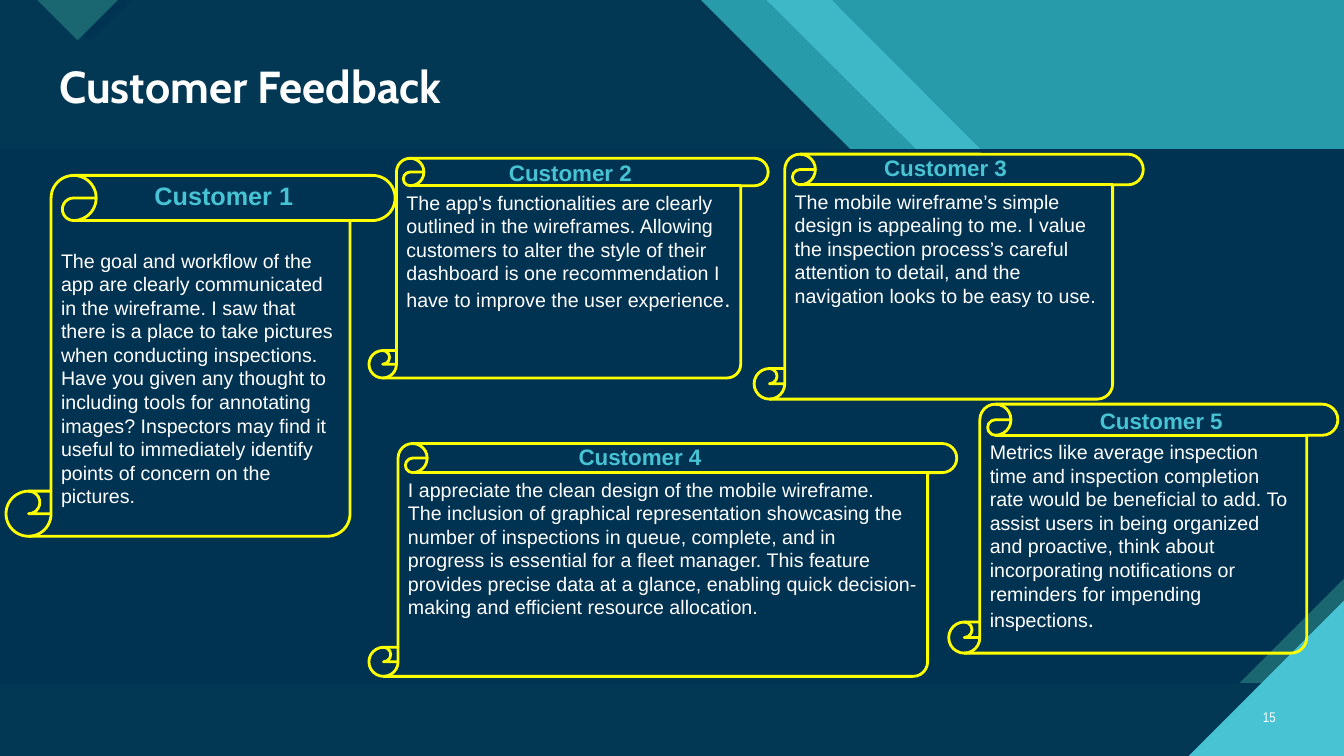
from typing import NamedTuple

from lxml.etree import SubElement
from pptx import Presentation
from pptx.dml.color import RGBColor
from pptx.enum.shapes import MSO_SHAPE as Preset
from pptx.enum.text import MSO_ANCHOR as Anchor, PP_ALIGN as Align
from pptx.oxml.ns import qn
from pptx.util import Inches, Pt

COLORS = {
    "teal": "289BAA",
    "aqua": "47C3D3",
    "pine": "1B6771",
    "navy": "003252",
    "yellow": "FFFF00",
    "white": "FFFFFF",
}
WIDTH, HEIGHT = 13.33, 7.5
PANEL_TOP, PANEL_BOTTOM, PANEL_SNIP = 1.48, 6.78, 1.04

Box = tuple[float, float, float, float]
Point = tuple[float, float]


class Run(NamedTuple):
    text: str
    size: float = 14
    font: str = "Arial"
    color: str = "white"
    bold: bool = False


class Region(NamedTuple):
    color: str
    points: list[Point]
    opacity: int = 100


class Feedback(NamedTuple):
    scroll: Box
    heading: Box
    lines: list[list[Run]]
    heading_size: int = 16
    heading_align: Align = Align.LEFT
    top_inset: float = 0.05


HEADER_OUTLINE = [(0, 0), (6.95, 0), (9.92, 2.97), (11.18, 2.97),
                  (WIDTH, 5.13), (WIDTH, HEIGHT), (0, HEIGHT)]

BACKDROP = [
    Region("teal", [(0, 0), (WIDTH, 0), (WIDTH, HEIGHT), (0, HEIGHT)]),
    Region("aqua", [(0, 0), (8.25, 0), (11.22, 2.98), (12.34, 2.98),
                    (WIDTH, 3.97), (WIDTH, HEIGHT), (0, HEIGHT)], 72),
    Region("teal", [(0, 0), (7.6, 0), (10.58, 2.97), (11.84, 2.97),
                    (WIDTH, 4.47), (WIDTH, HEIGHT), (0, HEIGHT)]),
    Region("pine", HEADER_OUTLINE),
    Region("navy", HEADER_OUTLINE, 88),
    Region("navy", [(0.48, 0), (1.31, 0), (0.9, 0.41)]),
    Region("pine", [(0.37, 0), (1.17, 0), (0.77, 0.4)]),
    Region("pine", [(0, PANEL_TOP), (WIDTH, PANEL_TOP),
                    (WIDTH, PANEL_BOTTOM), (0, PANEL_BOTTOM)]),
    Region("navy", [(0, PANEL_TOP), (WIDTH, PANEL_TOP),
                    (WIDTH, PANEL_BOTTOM - PANEL_SNIP),
                    (WIDTH - PANEL_SNIP, PANEL_BOTTOM), (0, PANEL_BOTTOM)]),
    Region("aqua", [(11.79, HEIGHT), (WIDTH, HEIGHT), (WIDTH, 5.96)]),
]

FEEDBACK = [
    Feedback((0.06, 1.74, 3.86, 3.58), (1.15, 1.74, 2.14, 0.4), [[Run(
        "The goal and workflow of the app are clearly communicated in the wireframe. "
        "I saw that there is a place to take pictures when conducting inspections. "
        "Have you given any thought to including tools for annotating images? "
        "Inspectors may find it useful to immediately identify points of concern "
        "on the pictures.")]], 18, Align.CENTER, 0.28),
    Feedback((3.66, 1.57, 3.96, 2.18), (4.95, 1.53, 2.14, 0.37), [[Run(
        "The app's functionalities are clearly outlined in the wireframes. Allowing "
        "customers to alter the style of their dashboard is one recommendation I have "
        "to improve the user experience"), Run(".", 16)]]),
    Feedback((7.48, 1.53, 3.86, 2.43), (8.67, 1.48, 2.14, 0.37), [[Run(
        "The mobile wireframe’s simple design is appealing to me. I value the "
        "inspection process’s careful attention to detail, and the navigation looks "
        "to be easy to use.")]]),
    Feedback((3.66, 4.4, 5.83, 2.31), (5.64, 4.35, 2.14, 0.37), [
        [Run("I appreciate the clean design of the mobile wireframe.")],
        [Run("The inclusion of graphical representation showcasing the number of "
             "inspections in queue, complete, and in progress is essential for a fleet "
             "manager. This feature provides precise data at a glance, enabling quick "
             "decision-making and efficient resource allocation.")]]),
    Feedback((9.41, 4.01, 3.86, 2.47), (10.81, 3.99, 2.14, 0.37), [[Run(
        "Metrics like average inspection time and inspection completion rate would be "
        "beneficial to add. To assist users in being organized and proactive, think "
        "about incorporating notifications or reminders for impending inspections"),
        Run(".", 16, "Calibri")]]),
]


def rgb(color: str) -> RGBColor:
    return RGBColor.from_string(COLORS[color])


def draw_region(shapes, region: Region) -> None:
    points = [(Inches(x), Inches(y)) for x, y in region.points]
    builder = shapes.build_freeform(*points[0])
    builder.add_line_segments(points[1:], close=True)
    shape = builder.convert_to_shape()
    shape.shadow.inherit = False
    shape.line.fill.background()
    shape.fill.solid()
    shape.fill.fore_color.rgb = rgb(region.color)
    if region.opacity < 100:
        color = shape.fill._xPr.find(qn("a:solidFill"))[0]
        SubElement(color, qn("a:alpha"), val=str(region.opacity * 1000))


def write(shape, lines: list[list[Run]], align: Align = Align.LEFT,
          anchor: Anchor = Anchor.TOP, top_inset: float = 0.05,
          line_spacing: float = 1.0) -> None:
    """Fill one paragraph, breaking it between the given lines."""
    frame = shape.text_frame
    frame.word_wrap = True
    frame.vertical_anchor = anchor
    frame.margin_left = frame.margin_right = Inches(0.1)
    frame.margin_top, frame.margin_bottom = Inches(top_inset), Inches(0.05)
    paragraph = frame.paragraphs[0]
    paragraph.alignment = align
    paragraph.line_spacing = line_spacing
    for index, line in enumerate(lines):
        if index:
            paragraph.add_line_break()
        for part in line:
            run = paragraph.add_run()
            run.text = part.text
            run.font.size = Pt(part.size)
            run.font.name = part.font
            run.font.bold = part.bold
            run.font.color.rgb = rgb(part.color)


def add_label(shapes, box: Box, run: Run, align: Align = Align.LEFT,
              anchor: Anchor = Anchor.TOP, line_spacing: float = 1.0) -> None:
    label = shapes.add_textbox(*map(Inches, box))
    write(label, [[run]], align, anchor, line_spacing=line_spacing)


def draw_scroll(shapes, feedback: Feedback) -> None:
    scroll = shapes.add_shape(Preset.VERTICAL_SCROLL, *map(Inches, feedback.scroll))
    scroll.shadow.inherit = False
    scroll.fill.background()
    scroll.line.color.rgb = rgb("yellow")
    scroll.line.width = Pt(2)
    write(scroll, feedback.lines, top_inset=feedback.top_inset)


def main() -> None:
    deck = Presentation()
    deck.slide_width, deck.slide_height = Inches(WIDTH), Inches(HEIGHT)
    slide = deck.slides.add_slide(deck.slide_layouts[6])
    shapes = slide.shapes
    slide.background.fill.solid()
    slide.background.fill.fore_color.rgb = rgb("aqua")

    for region in BACKDROP:
        draw_region(shapes, region)
    add_label(shapes, (0.49, 0.59, 12.26, 0.59),
              Run("Customer Feedback", 32, "Cabin", bold=True), line_spacing=0.9)
    add_label(shapes, (12.31, 6.91, 0.44, 0.4), Run("15", 10, "Arial Narrow"),
              Align.RIGHT, Anchor.MIDDLE)
    for feedback in FEEDBACK:
        draw_scroll(shapes, feedback)
    for number, feedback in enumerate(FEEDBACK, start=1):
        heading = Run(f"Customer {number}", feedback.heading_size, color="aqua", bold=True)
        add_label(shapes, feedback.heading, heading, feedback.heading_align)

    deck.save("out.pptx")


if __name__ == "__main__":
    main()
